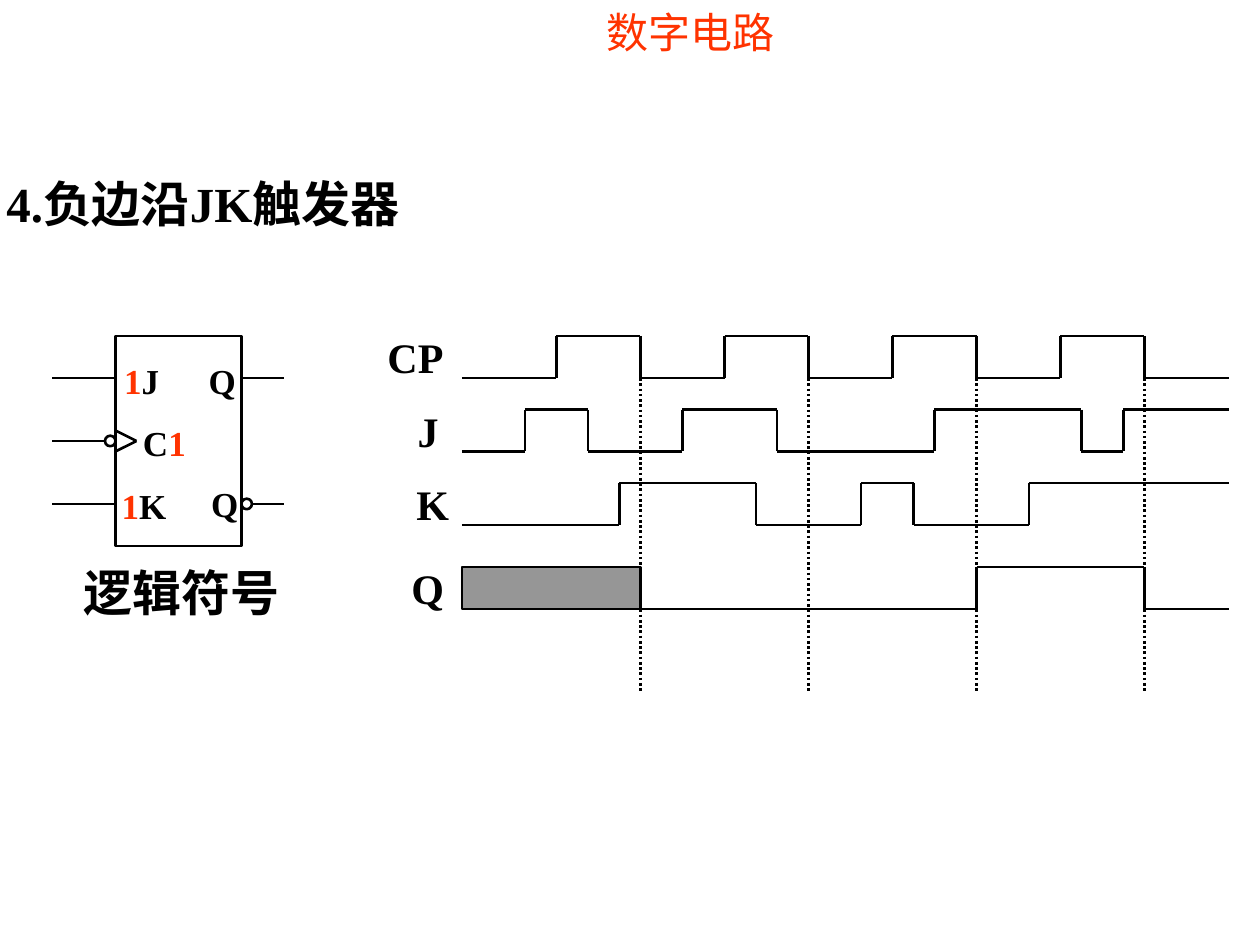
from lxml import etree
from pptx import Presentation
from pptx.dml.color import RGBColor
from pptx.enum import dml, shapes, text
from pptx.oxml.ns import qn
from pptx.util import Inches, Pt

BLACK = RGBColor(0x00, 0x00, 0x00)
RED = RGBColor(0xFF, 0x33, 0x00)
GRAY = RGBColor(0x96, 0x96, 0x96)
LATIN, CJK = "Times New Roman", "Noto Sans CJK SC"
LINE_WIDTH = Pt(1.5)
UNIT = 1 / 12  # the drawing grid, in inches


def format_text(sp, parts, size, bold=True, latin=LATIN, align=text.PP_ALIGN.LEFT):
    """Fill a one-line box with (string, colour) parts."""
    tf = sp.text_frame
    tf.word_wrap = False
    tf.auto_size = text.MSO_AUTO_SIZE.NONE
    tf.vertical_anchor = text.MSO_ANCHOR.TOP
    p = tf.paragraphs[0]
    p.alignment = align
    for string, color in parts:
        r = p.add_run()
        r.text = string
        r.font.name, r.font.size, r.font.bold = latin, Pt(size), bold
        r.font.color.rgb = color
        ea = etree.SubElement(r.font._element, qn("a:ea"))
        ea.set("typeface", CJK)


def add_label(slide, box, parts, size, **style):
    sp = slide.shapes.add_textbox(*(Inches(v) for v in box))
    format_text(sp, parts, size, **style)


def add_line(slide, x1, y1, x2, y2, dash=None):
    line = slide.shapes.add_connector(
        shapes.MSO_CONNECTOR.STRAIGHT, Inches(x1), Inches(y1), Inches(x2), Inches(y2))
    line.line.color.rgb = BLACK
    line.line.width = LINE_WIDTH
    if dash:
        line.line.dash_style = dash
    etree.SubElement(line._element.spPr, qn("a:effectLst"))


def add_outline(slide, kind, left, top, width, height, fill=None):
    sp = slide.shapes.add_shape(
        kind, Inches(left), Inches(top), Inches(width), Inches(height))
    sp.shadow.inherit = False
    sp.line.color.rgb = BLACK
    sp.line.width = LINE_WIDTH
    if fill is None:
        sp.fill.background()
    else:
        sp.fill.solid()
        sp.fill.fore_color.rgb = fill


def add_headings(slide):
    add_label(slide, (4.06, 0, 2.84, 0.6), [("数字电路", RED)], 24,
              bold=False, latin=CJK, align=text.PP_ALIGN.CENTER)
    title = slide.shapes.title
    title.left, title.top = Inches(-0.05), Inches(1.33)
    title.width, title.height = Inches(4), Inches(0.57)
    format_text(title, [("4.负边沿JK触发器", BLACK)], 28)


def add_symbol(slide, left, top):
    """Draw the flip-flop symbol: body, pins, bubbles, labels and caption."""
    lead, bubble, pitch = 6 * UNIT, UNIT, 6 * UNIT
    body_left, body_right = left + lead, left + lead + 1
    right = body_right + 4 * UNIT
    pin_j, pin_c, pin_k = (top + 4 * UNIT + n * pitch for n in range(3))

    add_outline(slide, shapes.MSO_SHAPE.RECTANGLE, body_left, top, 1, 20 * UNIT)
    for x1, x2, y in [
        (left, body_left, pin_j), (left, body_left - bubble, pin_c),
        (left, body_left, pin_k), (body_right, right, pin_j),
        (body_right + bubble, right, pin_k),
    ]:
        add_line(slide, x1, y, x2, y)
    for x, y in [(body_left - bubble, pin_c), (body_right, pin_k)]:
        add_outline(slide, shapes.MSO_SHAPE.OVAL, x, y - bubble / 2, bubble, bubble)
    for y in (pin_c - UNIT, pin_c + UNIT):
        add_line(slide, body_left, y, body_left + 2 * UNIT, pin_c)

    for dx, dy, width, parts in [
        (0.47, 0.14, 0.48, [("1", RED), ("J", BLACK)]),
        (0.62, 0.63, 0.54, [("C", BLACK), ("1", RED)]),
        (0.45, 1.13, 0.55, [("1", RED), ("K", BLACK)]),
        (1.14, 0.14, 0.41, [("Q", BLACK)]),
        (1.16, 1.11, 0.41, [("Q", BLACK)]),
    ]:
        add_label(slide, (left + dx, top + dy, width, 0.44), parts, 20)
    add_label(slide, (left + 0.15, top + 1.75, 1.75, 0.57), [("逻辑符号", BLACK)], 28)


def add_wave(slide, left, high, start, edges, end):
    """Draw a signal that starts low and toggles at each edge (grid units)."""
    level, other = high + 4 * UNIT, high
    x = left + start * UNIT
    for edge in edges:
        next_x = left + edge * UNIT
        if next_x > x:
            add_line(slide, x, level, next_x, level)
        add_line(slide, next_x, level, next_x, other)
        x, level, other = next_x, other, level
    add_line(slide, x, level, left + end * UNIT, level)


def add_timing_diagram(slide, left, top):
    end, first_fall, period = 73, 17, 16
    falls = [first_fall + n * period for n in range(4)]
    clock_edges = [x for fall in falls for x in (fall - 8, fall)]
    # name, row offset, first known point, edges, label offset and width
    signals = [
        ("CP", 0, 0, clock_edges, -0.69, 0.64),
        ("J", 7, 0, [6, 12, 21, 30, 45, 59, 63], -0.45, 0.36),
        ("K", 14, 0, [15, 28, 38, 43, 54], -0.46, 0.46),
        ("Q", 22, first_fall, falls[2:], -0.5, 0.46),
    ]
    for fall in falls:
        x = left + fall * UNIT
        add_line(slide, x, top + 4 * UNIT, x, top + 34 * UNIT,
                 dml.MSO_LINE.ROUND_DOT)
    add_outline(slide, shapes.MSO_SHAPE.RECTANGLE, left, top + 22 * UNIT,
                first_fall * UNIT, 4 * UNIT, GRAY)
    for name, row, start, edges, dx, width in signals:
        high = top + row * UNIT
        add_wave(slide, left, high, start, edges, end)
        add_label(slide, (left + dx, high - UNIT, width, 0.5), [(name, BLACK)], 24)


def main():
    prs = Presentation()
    prs.slide_width, prs.slide_height = Inches(10), Inches(7.5)
    slide = prs.slides.add_slide(prs.slide_layouts[5])
    add_headings(slide)
    add_symbol(slide, 5 * UNIT, 32 * UNIT)
    add_timing_diagram(slide, 44 * UNIT, 32 * UNIT)
    prs.save("out.pptx")


if __name__ == "__main__":
    main()
